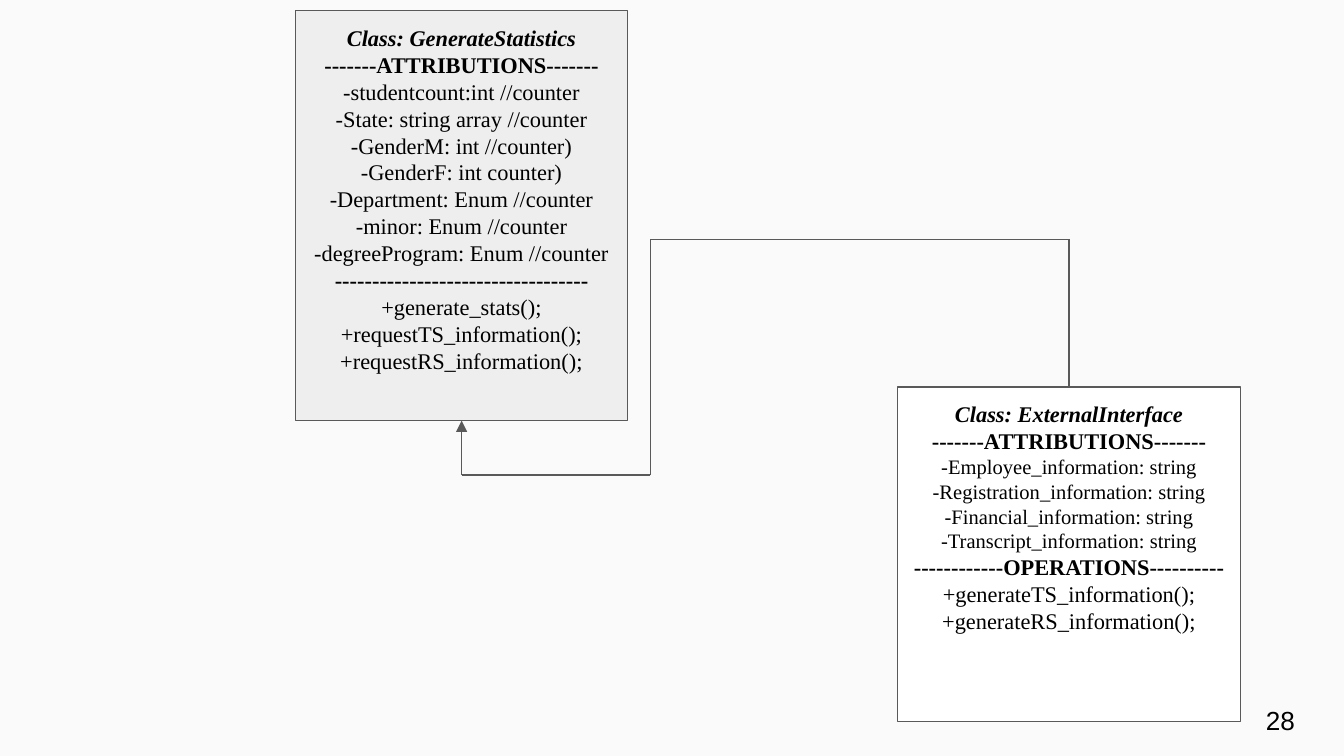
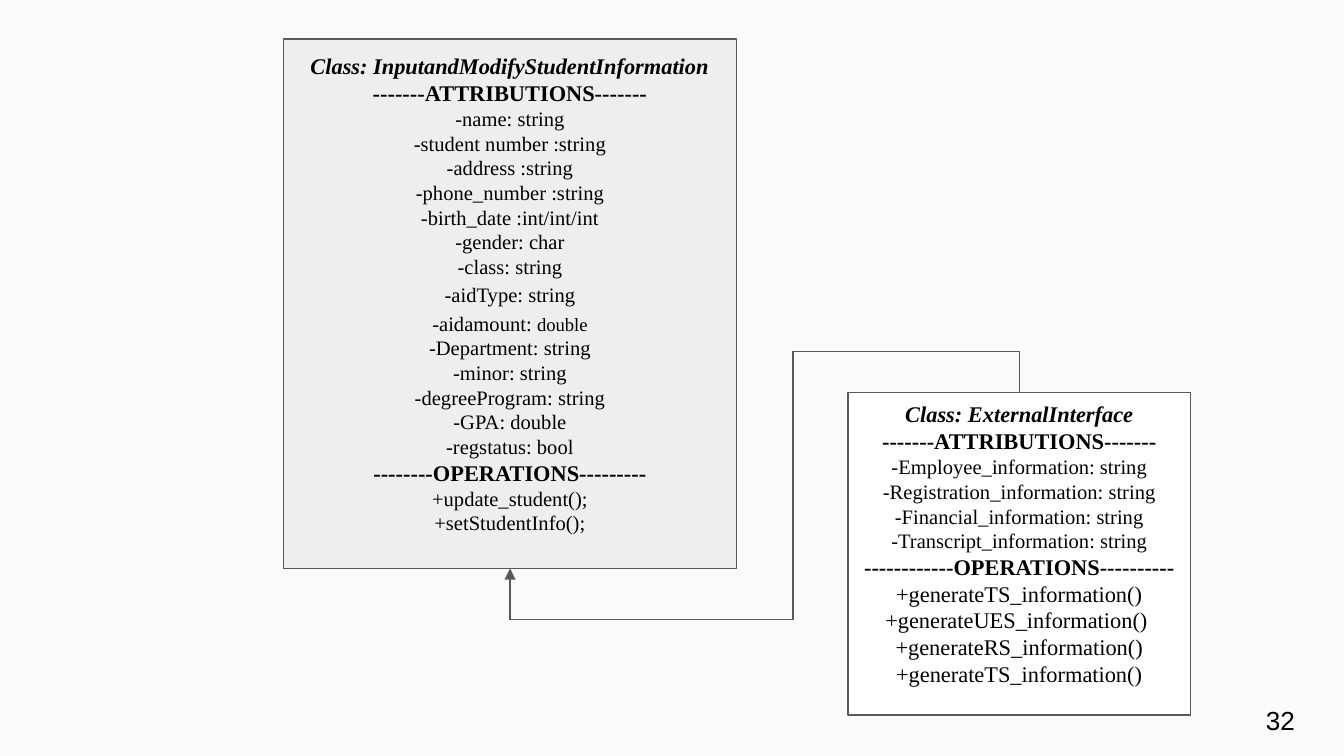
"""Builds two class diagram slides, each linking an external interface to a class."""
from dataclasses import dataclass
from itertools import pairwise

from lxml.etree import SubElement
from pptx import Presentation
from pptx.dml.color import RGBColor
from pptx.enum.shapes import MSO_CONNECTOR, MSO_SHAPE
from pptx.enum.text import MSO_ANCHOR, PP_ALIGN
from pptx.oxml.ns import qn
from pptx.shapes.autoshape import Shape
from pptx.shapes.connector import Connector
from pptx.slide import Slide
from pptx.text.text import TextFrame
from pptx.util import Emu, Pt

PX = 4572
SLIDE_WIDTH, SLIDE_HEIGHT = 2000, 1125
INSET = 20
LINE_WIDTH = Pt(0.75)
TOP, BOTTOM = 0, 2
BACKGROUND = RGBColor(0xFA, 0xFA, 0xFA)
GRAY = RGBColor(0xEE, 0xEE, 0xEE)
WHITE = RGBColor(0xFF, 0xFF, 0xFF)
OUTLINE = RGBColor(0x59, 0x59, 0x59)
BLACK = RGBColor(0x00, 0x00, 0x00)
CLASS_FONT, NUMBER_FONT = "Times New Roman", "Arial"


@dataclass(frozen=True)
class Line:
    """One line of a class box, with an optional smaller ending."""
    text: str
    size: int = 12
    bold: bool = False
    italic: bool = False
    spacing: float | None = None
    small_ending: str = ""


@dataclass(frozen=True)
class ClassBox:
    """A class rectangle and its lines."""
    left: int
    top: int
    width: int
    height: int
    fill: RGBColor
    lines: tuple[Line, ...]
    top_inset: int = INSET

    @property
    def center(self) -> int:
        """Return the horizontal middle of the box."""
        return self.left + self.width // 2

    @property
    def bottom(self) -> int:
        """Return the lower edge of the box."""
        return self.top + self.height


@dataclass(frozen=True)
class Diagram:
    """A slide with a target class, an external interface and the lanes between them."""
    number: str
    target: ClassBox
    external: ClassBox
    upper_lane: int
    middle_lane: int
    lower_lane: int


def title(name: str) -> Line:
    """Return the heading line of a class."""
    return Line(f"Class: {name}", bold=True, italic=True)


def divider(label: str, before: int, after: int) -> Line:
    """Return a bold label between rows of dashes."""
    return Line("-" * before + label + "-" * after, bold=True)


def members(*texts: str, size: int = 12) -> tuple[Line, ...]:
    """Return plain lines of one size."""
    return tuple(Line(text, size) for text in texts)


ATTRIBUTIONS = divider("ATTRIBUTIONS", 7, 7)


def external_box(left: int, top: int, height: int, *operations: str, top_inset: int = INSET) -> ClassBox:
    """Return the external interface class with the given operations."""
    lines = (
        title("ExternalInterface"),
        ATTRIBUTIONS,
        *members("-Employee_information: string", "-Registration_information: string",
                 "-Financial_information: string", "-Transcript_information: string", size=11),
        divider("OPERATIONS", 12, 10),
        *members(*operations),
    )
    return ClassBox(left, top, 510, height, WHITE, lines, top_inset)


STATISTICS = ClassBox(440, 16, 494, 610, GRAY, (
    title("GenerateStatistics"),
    ATTRIBUTIONS,
    *members("-studentcount:int //counter", "-State: string array //counter",
             "-GenderM: int //counter)", "-GenderF: int counter)",
             "-Department: Enum //counter", "-minor: Enum //counter",
             "-degreeProgram: Enum //counter"),
    divider("", 34, 0),
    *members("+generate_stats();", "+requestTS_information();", "+requestRS_information();"),
))

STUDENT = ClassBox(422, 58, 674, 788, GRAY, (
    title("InputandModifyStudentInformation"),
    ATTRIBUTIONS,
    *members("-name: string", "-student number :string", "-address :string",
             "-phone_number :string", "-birth_date :int/int/int", "-gender: char",
             "-class: string", size=11),
    Line("-aidType: string", 11, spacing=1.15),
    Line("-aidamount: ", 11, spacing=1.15, small_ending="double"),
    *members("-Department: string", "-minor: string", "-degreeProgram: string",
             "-GPA: double", "-regstatus: bool", size=11),
    divider("OPERATIONS", 8, 9),
    *members("+update_student();", "+setStudentInfo();", size=11),
))

DIAGRAMS = (
    Diagram("28", STATISTICS,
            external_box(1336, 576, 498, "+generateTS_information();", "+generateRS_information();"),
            upper_lane=356, middle_lane=968, lower_lane=707),
    Diagram("32", STUDENT,
            external_box(1262, 584, 480, "+generateTS_information()", "+generateUES_information() ",
                         "+generateRS_information()", "+generateTS_information()", top_inset=12),
            upper_lane=523, middle_lane=1180, lower_lane=922),
)


def px(*lengths: int) -> list[Emu]:
    """Convert pixel lengths to EMU."""
    return [Emu(length * PX) for length in lengths]


def set_frame(frame: TextFrame, anchor: MSO_ANCHOR, top_inset: int = INSET) -> None:
    """Set wrapping, anchor and insets of a text frame."""
    frame.word_wrap = True
    frame.vertical_anchor = anchor
    frame.margin_left, frame.margin_top, frame.margin_right, frame.margin_bottom = px(
        INSET, top_inset, INSET, INSET)


def draw_class(slide: Slide, box: ClassBox) -> Shape:
    """Draw a class rectangle with its lines of text."""
    shape = slide.shapes.add_shape(MSO_SHAPE.RECTANGLE, *px(box.left, box.top, box.width, box.height))
    shape.shadow.inherit = False
    shape.fill.solid()
    shape.fill.fore_color.rgb = box.fill
    shape.line.color.rgb = OUTLINE
    shape.line.width = LINE_WIDTH
    frame = shape.text_frame
    set_frame(frame, MSO_ANCHOR.TOP, box.top_inset)
    for index, line in enumerate(box.lines):
        paragraph = frame.add_paragraph() if index else frame.paragraphs[0]
        paragraph.alignment = PP_ALIGN.CENTER
        if line.spacing:
            paragraph.line_spacing = line.spacing
        font = paragraph.font
        font.name, font.size, font.bold, font.italic = CLASS_FONT, Pt(line.size), line.bold, line.italic
        font.color.rgb = BLACK
        paragraph.add_run().text = line.text
        if line.small_ending:
            ending = paragraph.add_run()
            ending.text = line.small_ending
            ending.font.size = Pt(line.size - 1)
    return shape


def draw_line(slide: Slide, start: tuple[int, int], end: tuple[int, int]) -> Connector:
    """Draw one straight segment without a shadow."""
    connector = slide.shapes.add_connector(MSO_CONNECTOR.STRAIGHT, *px(*start, *end))
    connector.line.color.rgb = OUTLINE
    connector.line.width = LINE_WIDTH
    SubElement(connector.element.spPr, qn("a:effectLst"))
    return connector


def draw_route(slide: Slide, diagram: Diagram, target: Shape, external: Shape) -> None:
    """Draw the segments from the external interface to an arrowhead at the target."""
    start, end = diagram.external.center, diagram.target.center
    points = (
        (start, diagram.external.top),
        (start, diagram.upper_lane),
        (diagram.middle_lane, diagram.upper_lane),
        (diagram.middle_lane, diagram.lower_lane),
        (end, diagram.lower_lane),
        (end, diagram.target.bottom),
    )
    segments = [draw_line(slide, *pair) for pair in pairwise(points)]
    segments[0].begin_connect(external, TOP)
    arrow = segments[-1]
    arrow.end_connect(target, BOTTOM)
    SubElement(arrow.line._get_or_add_ln(), qn("a:tailEnd"), type="triangle", w="med", len="med")


def draw_number(slide: Slide, number: str) -> None:
    """Draw the page number in the lower right corner."""
    frame = slide.shapes.add_textbox(*px(1864, 1028, 120, 86)).text_frame
    set_frame(frame, MSO_ANCHOR.MIDDLE)
    paragraph = frame.paragraphs[0]
    paragraph.font.name, paragraph.font.size = NUMBER_FONT, Pt(14)
    paragraph.font.color.rgb = BLACK
    paragraph.add_run().text = number


def main() -> None:
    """Build and save the presentation."""
    presentation = Presentation()
    presentation.slide_width, presentation.slide_height = px(SLIDE_WIDTH, SLIDE_HEIGHT)
    for diagram in DIAGRAMS:
        slide = presentation.slides.add_slide(presentation.slide_layouts[6])
        slide.background.fill.solid()
        slide.background.fill.fore_color.rgb = BACKGROUND
        target = draw_class(slide, diagram.target)
        external = draw_class(slide, diagram.external)
        draw_route(slide, diagram, target, external)
        draw_number(slide, diagram.number)
    presentation.save("out.pptx")


if __name__ == "__main__":
    main()
